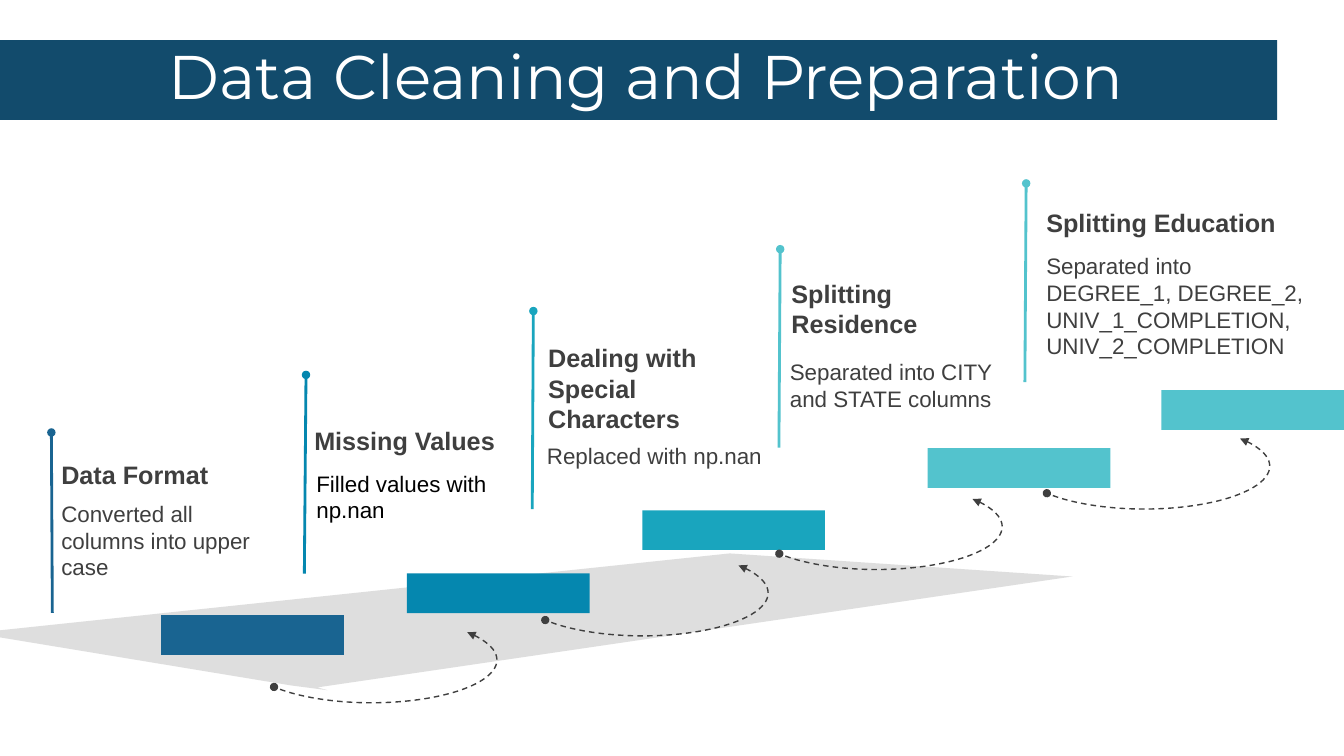
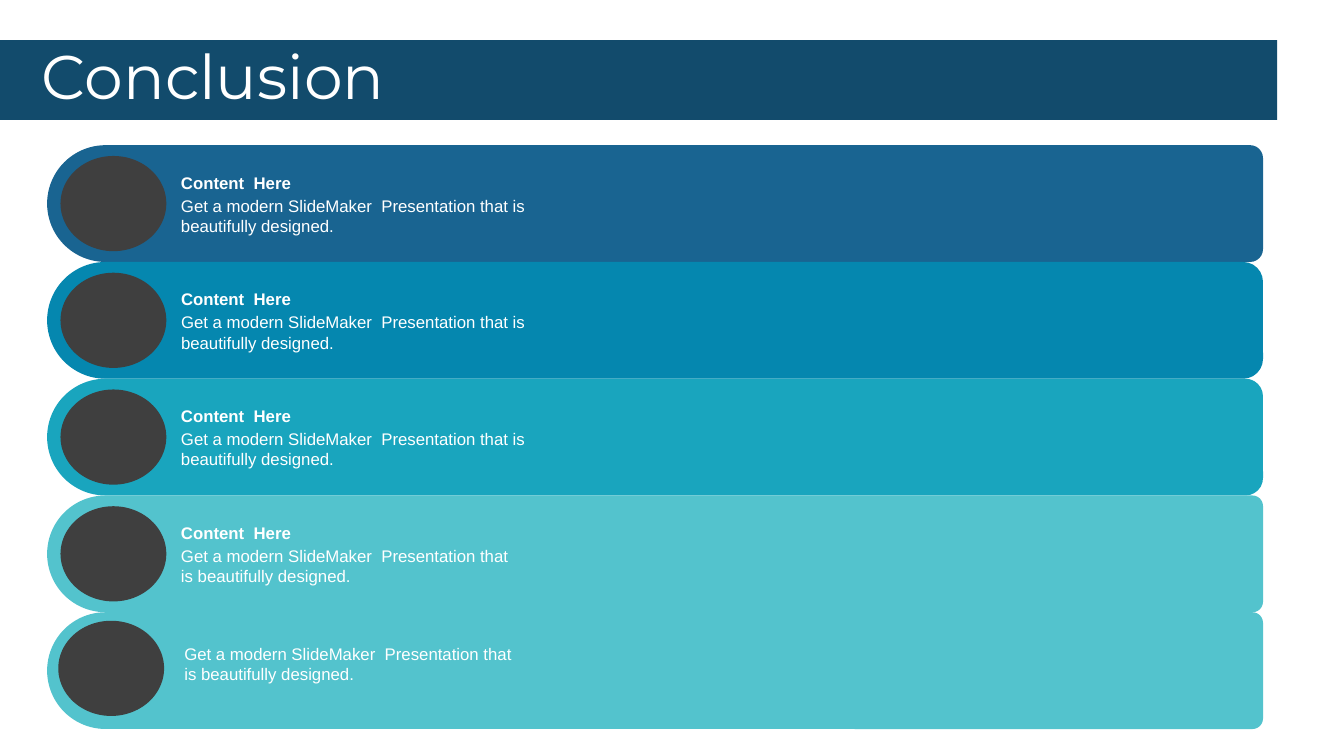
from typing import NamedTuple

from lxml.etree import SubElement
from pptx import Presentation
from pptx.dml.color import RGBColor
from pptx.enum.dml import MSO_LINE
from pptx.enum.shapes import MSO_CONNECTOR, MSO_SHAPE as Preset
from pptx.enum.text import MSO_ANCHOR as Anchor, PP_ALIGN as Align
from pptx.oxml.ns import qn
from pptx.util import Pt

WHITE = RGBColor(0xFF, 0xFF, 0xFF)
BLACK = RGBColor(0x00, 0x00, 0x00)
CHARCOAL = RGBColor(0x3F, 0x3F, 0x3F)
GREY = RGBColor(0x7F, 0x7F, 0x7F)
NAVY = RGBColor(0x12, 0x4B, 0x6C)
BLUE = RGBColor(0x19, 0x64, 0x91)
CERULEAN = RGBColor(0x05, 0x87, 0xAF)
TEAL = RGBColor(0x19, 0xA5, 0xBE)
AQUA = RGBColor(0x53, 0xC3, 0xCD)
LEVELS = (BLUE, CERULEAN, TEAL, AQUA, AQUA)


class Step(NamedTuple):
    heading: str
    heading_box: tuple
    detail: str
    detail_box: tuple
    stem: tuple
    block: tuple


class Conclusion(NamedTuple):
    heading: str
    width: float
    corner: float
    badge_shift: tuple = (0, 0)
    text_shift: tuple = (0, 0)


STEPS = (
    Step("Data Format", (36.7, 324.7, 149, 28.8),
         "Converted all columns into upper case", (36.7, 353.5, 157.7, 65.5),
         (37.4, 437.8, 36.7, 308.9), (115.2, 439.4)),
    Step("Missing Values", (217.4, 300.2, 150.5, 28.8),
         "Filled values with np.nan", (218.9, 331.9, 157.7, 46),
         (217.4, 409.7, 218.6, 267.8), (290.7, 409.6)),
    Step("Dealing with Special Characters", (384.5, 241.2, 162, 72.7),
         "Replaced with np.nan", (383.6, 312.5, 179.3, 26.6),
         (380.2, 363.6, 381, 222.2), (458.8, 364.5)),
    Step("Splitting\nResidence", (558.2, 195.1, 193.7, 51),
         "Separated into CITY and STATE columns", (557.1, 252, 173.5, 46),
         (556.4, 319.7, 557.3, 178), (662.6, 320.2)),
    Step("Splitting Education", (740.3, 144.7, 187.2, 28.8),
         "Separated into DEGREE_1, DEGREE_2, UNIV_1_COMPLETION, UNIV_2_COMPLETION",
         (740.3, 176.4, 199.4, 85), (732.1, 272.9, 733, 131), (829.5, 278.7)),
)
LOOPS = ((175.7, 440.8), (369.4, 393), (536.6, 345.6), (727.7, 302.4))
FLOOR = ((-18.7, 452.2), (208, 489.6), (234, 493), (226.8, 491),
         (766, 411.8), (521.3, 395.3))

MESSAGE = "Get a modern SlideMaker  Presentation that is beautifully designed."
CONCLUSIONS = (
    Conclusion("Content  Here", 309.6, 0.11),
    Conclusion("Content  Here", 313.2, 0.17),
    Conclusion("Content  Here", 312.5, 0.15),
    Conclusion("Content  Here", 252, 0.09),
    Conclusion("", 252, 0.09, (-1.6, -1.6), (2.4, -13.2)),
)


def write(frame, text, size=12, color=CHARCOAL, font="Arial", bold=False,
          align=Align.LEFT, anchor=Anchor.TOP, spacing=None, indent=7.2):
    frame.word_wrap = True
    frame.vertical_anchor = anchor
    frame.margin_left = Pt(indent)
    frame.text = text
    for paragraph in frame.paragraphs:
        paragraph.alignment = align
        paragraph.line_spacing = spacing
        for run in paragraph.runs:
            run.font.name = font
            run.font.size = Pt(size)
            run.font.bold = bold
            run.font.color.rgb = color


class Deck:
    def __init__(self):
        self.presentation = Presentation()
        self.presentation.slide_width = Pt(960)
        self.presentation.slide_height = Pt(540)
        self.shapes = None

    def new_slide(self, title, align, indent):
        blank = self.presentation.slide_layouts[6]
        self.shapes = self.presentation.slides.add_slide(blank).shapes
        band = self.shape(Preset.RECTANGLE, (0, 28.6, 912.3, 57.1), NAVY)
        write(band.text_frame, title, size=44, color=WHITE, font="Montserrat",
              align=align, anchor=Anchor.MIDDLE, spacing=0.9, indent=indent)

    def shape(self, preset, box, fill, adjustments=()):
        shape = self.shapes.add_shape(preset, *map(Pt, box))
        shape.shadow.inherit = False
        for index, value in enumerate(adjustments):
            shape.adjustments[index] = value
        if fill is None:
            shape.fill.background()
        else:
            shape.fill.solid()
            shape.fill.fore_color.rgb = fill
            shape.line.fill.background()
        return shape

    def stroke(self, line, color, width, **ends):
        line.color.rgb = color
        line.width = Pt(width)
        outline = line._get_or_add_ln()
        for end, style in ends.items():
            SubElement(outline, qn(f"a:{end}"), type=style)

    def stem(self, ends, color):
        stem = self.shapes.add_connector(MSO_CONNECTOR.STRAIGHT, *map(Pt, ends))
        self.stroke(stem.line, color, 2, tailEnd="oval")
        SubElement(stem._element.spPr, qn("a:effectLst"))

    def loop(self, corner):
        loop = self.shape(Preset.ARC, (*corner, 179.3, 61.2), None,
                          (206.332, 98.702))
        loop.line.dash_style = MSO_LINE.DASH
        self.stroke(loop.line, CHARCOAL, 1, headEnd="triangle", tailEnd="oval")

    def floor(self, corners):
        start, *others = [tuple(map(Pt, corner)) for corner in corners]
        builder = self.shapes.build_freeform(*start)
        builder.add_line_segments(others, close=True)
        floor = builder.convert_to_shape()
        floor.shadow.inherit = False
        floor.line.fill.background()
        floor.fill.solid()
        floor.fill.fore_color.rgb = GREY
        tint = floor._element.spPr.find(f"{qn('a:solidFill')}/{qn('a:srgbClr')}")
        SubElement(tint, qn("a:alpha"), val="25000")

    def text(self, box, text, **style):
        write(self.shapes.add_textbox(*map(Pt, box)).text_frame, text, **style)

    def bar(self, middle, color, corner):
        thickness, length, center = 83.4, 868.5, 467.9
        box = (center - thickness / 2, middle - length / 2, thickness, length)
        self.shape(Preset.ROUND_2_SAME_RECTANGLE, box, color,
                   (0.5, corner)).rotation = 270


def add_preparation(deck):
    deck.new_slide("Data Cleaning and Preparation", Align.CENTER, 18)
    deck.floor(FLOOR)
    for step, color in zip(STEPS, LEVELS):
        deck.stem(step.stem, color)
        deck.shape(Preset.RECTANGLE, (*step.block, 130.5, 28.4), color)
        deck.text(step.heading_box, step.heading, size=18, bold=True)
        ink = BLACK if color == CERULEAN else CHARCOAL
        deck.text(step.detail_box, step.detail, size=16, color=ink)
    for corner in LOOPS:
        deck.loop(corner)


def add_conclusion(deck):
    deck.new_slide("Conclusion", Align.LEFT, 30)
    for row, (item, color) in enumerate(zip(CONCLUSIONS, LEVELS)):
        middle = 145.4 + 83.4 * row
        deck.bar(middle, color, item.corner)
        badge_x, badge_y = item.badge_shift
        deck.shape(Preset.OVAL,
                   (43.2 + badge_x, middle - 34 + badge_y, 75.6, 68), CHARCOAL)
        text_x, text_y = item.text_shift
        if item.heading:
            deck.text((122.2, middle - 25.8, item.width, 21.6), item.heading,
                      color=WHITE, bold=True)
        deck.text((122.2 + text_x, middle - 9.3 + text_y, item.width, 36),
                  MESSAGE, color=WHITE)


def main():
    deck = Deck()
    add_preparation(deck)
    add_conclusion(deck)
    deck.presentation.save("out.pptx")


if __name__ == "__main__":
    main()
